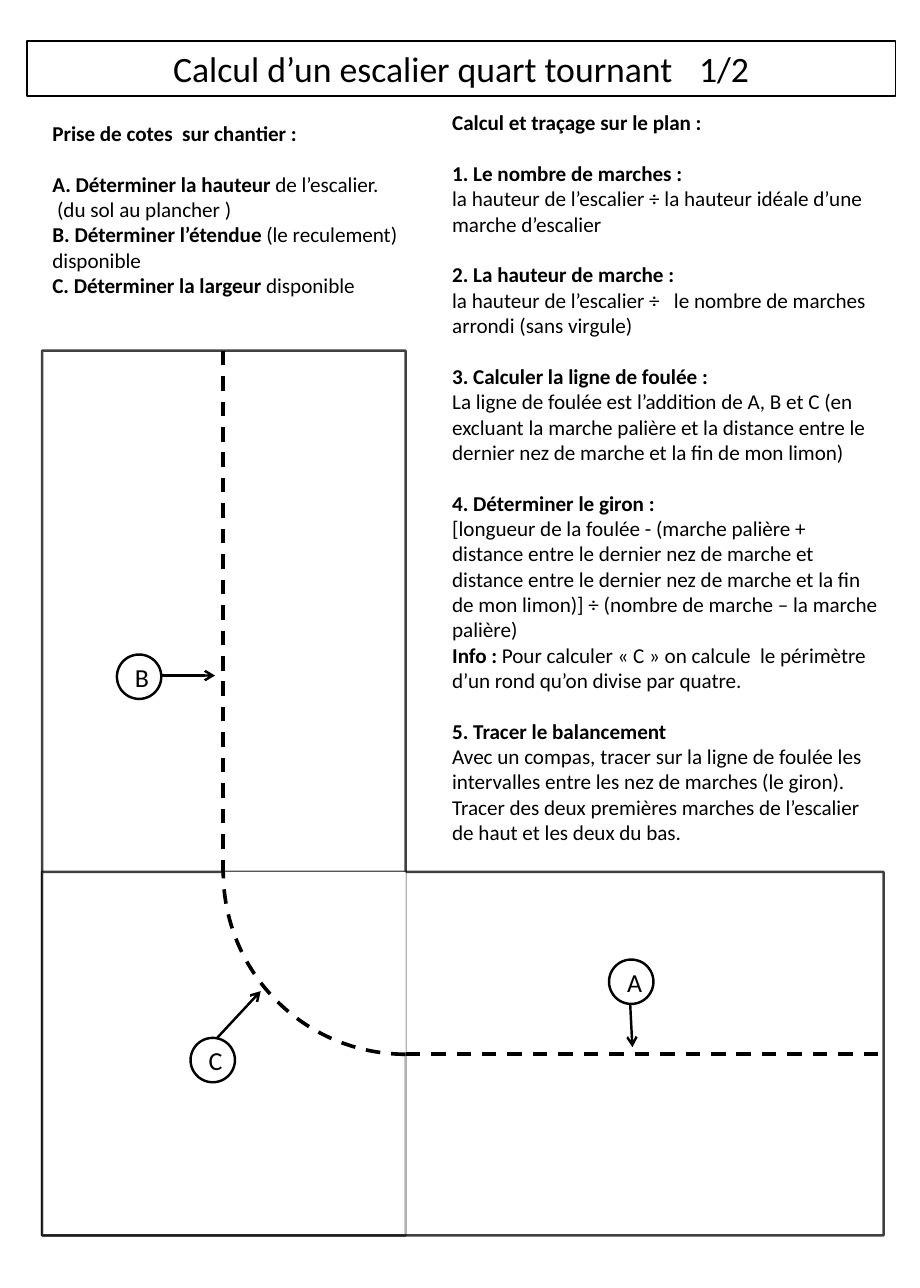
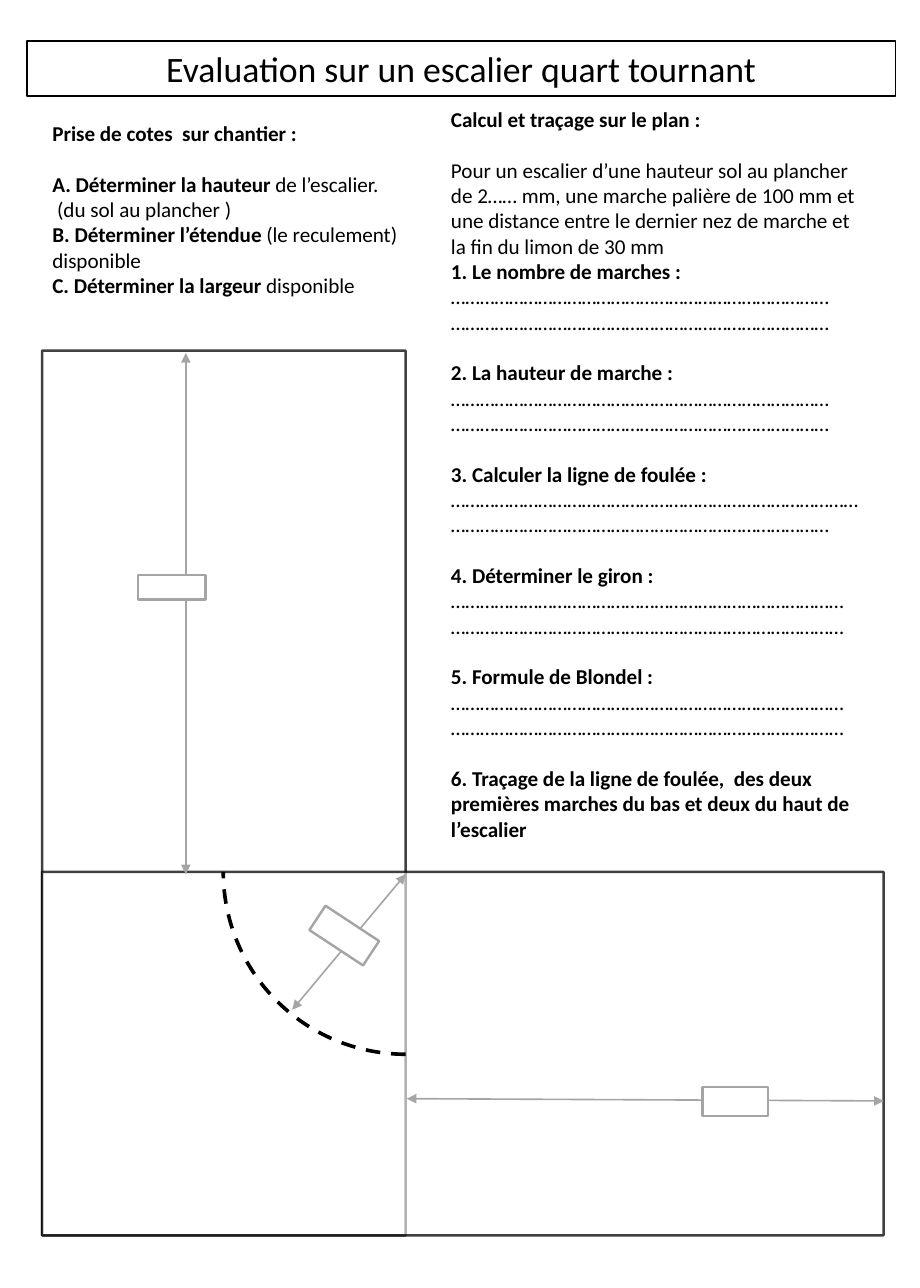
"""Builds the two worksheets on calculating a quarter-turn staircase."""
from dataclasses import dataclass

from lxml import etree
from pptx import Presentation
from pptx import util as u
from pptx.dml.color import RGBColor
from pptx.enum import dml, shapes, text
from pptx.oxml.ns import qn


@dataclass(frozen=True)
class Theme:
    """Colours, type sizes and line widths shared by both sheets."""
    font: str = "Calibri"
    ink: str = "000000"
    paper: str = "FFFFFF"
    dimension: str = "A5A5A5"
    title_size: float = 22
    letter_size: float = 16
    body_size: float = 13
    paragraph_gap: float = 15.6
    frame_line: float = 1
    outline: float = 1.5
    walk_line: float = 2.25
    flight_fill_opacity: int = 60
    flight_line_opacity: int = 75


THEME = Theme()
PAGE = (7.87, 11.02)
TITLE_BOX = (0.23, 0.35, 7.43, 0.47)
SURVEY_BOX = (0.35, 0.98, 3.4, 1.62)
PLAN_BOX = (0.36, 3.0, 7.2, 7.57)
FLIGHT_WIDTH = 3.11
WALK_RADIUS = 1.56
CORNER_Y = PLAN_BOX[3] - FLIGHT_WIDTH
WALK_X = FLIGHT_WIDTH - WALK_RADIUS
WALK_Y = CORNER_Y + WALK_RADIUS
MARKER_SIZE = 0.38

SURVEY = [
    ("Prise de cotes  sur chantier :", "", False),
    ("A. Déterminer la hauteur ", "de l’escalier.", True),
    ("", " (du sol au plancher )", False),
    ("B. Déterminer l’étendue ", "(le reculement) disponible", False),
    ("C. Déterminer la largeur ", "disponible", False),
]
METHOD = [
    ("Calcul et traçage sur le plan :", "", False),
    ("1. Le nombre de marches :", "", True),
    ("", "la hauteur de l’escalier ÷ la hauteur idéale d’une marche d’escalier", False),
    ("2. La hauteur de marche :", "", True),
    ("", "la hauteur de l’escalier ÷   le nombre de marches arrondi (sans virgule)", False),
    ("3. Calculer la ligne de foulée :", "", True),
    ("", "La ligne de foulée est l’addition de A, B et C (en excluant la marche palière "
         "et la distance entre le dernier nez de marche et la fin de mon limon)", False),
    ("4. Déterminer le giron :", "", True),
    ("", "[longueur de la foulée - (marche palière + distance entre le dernier nez de "
         "marche et distance entre le dernier nez de marche et la fin de mon limon)] ÷ "
         "(nombre de marche – la marche palière)", False),
    ("Info : ", "Pour calculer « C » on calcule  le périmètre d’un rond qu’on divise "
                "par quatre.", False),
    ("5. Tracer le balancement", "", True),
    ("", "Avec un compas, tracer sur la ligne de foulée les intervalles entre les nez de "
         "marches (le giron). Tracer des deux premières marches de l’escalier de haut et "
         "les deux du bas.", False),
]
QUESTIONS = [
    ("1. Le nombre de marches :", [26, 26]),
    ("2. La hauteur de marche :", [26, 26]),
    ("3. Calculer la ligne de foulée :", [28, 26]),
    ("4. Déterminer le giron :", [27, 27]),
    ("5. Formule de Blondel :", [27, 27]),
]
LETTERS = [
    ("A", (5.04, 5.4), (5.03, 5.57), (5.05, 5.96)),
    ("B", (0.83, 2.79), (1.01, 2.78), (1.48, 2.78)),
    ("C", (1.46, 6.07), (1.47, 5.91), (1.87, 5.48)),
]
DIMENSIONS = [
    ((1.23, 0.02), (1.23, 4.48), (0.82, 1.92, 0.58, 0.21), 0),
    ((7.2, 6.42), (3.12, 6.4), (5.65, 6.3, 0.56, 0.25), 0),
    ((3.11, 4.48), (2.14, 5.64), (2.31, 4.88, 0.55, 0.25), 33.4),
]


def evaluation_text():
    """Return the exercise, with dotted answer lines under each question."""
    paragraphs = [
        ("Calcul et traçage sur le plan :", "", False),
        ("", "Pour un escalier d’une hauteur sol au plancher de 2…… mm, une marche palière "
             "de 100 mm et une distance entre le dernier nez de marche et la fin du limon "
             "de 30 mm", True),
    ]
    for number, (question, dots) in enumerate(QUESTIONS):
        paragraphs.append((question, "", number > 0))
        paragraphs += [("", "…" * count, False) for count in dots]
    paragraphs.append(("6. Traçage de la ligne de foulée,  des deux premières marches du bas "
                       "et deux du haut de l’escalier", "", True))
    return paragraphs


def apply(target, formats):
    """Set every attribute named in a dict of format values."""
    for attribute, value in formats.items():
        setattr(target, attribute, value)


def inches(values):
    """Turn a sequence of numbers into lengths."""
    return [u.Inches(value) for value in values]


def shifted(box, part):
    """Move a point or box given relative to a region onto the page."""
    return (box[0] + part[0], box[1] + part[1], *part[2:])


def set_opacity(fill, percent):
    """Give a solid fill element an opacity."""
    colour = fill.find(".//" + qn("a:srgbClr"))
    etree.SubElement(colour, qn("a:alpha"), val=str(percent * 1000))


def draw_line(line, colour, width, dashed=False):
    """Style an outline or connector line."""
    line.color.rgb = RGBColor.from_string(colour)
    line.width = u.Pt(width)
    if dashed:
        line.dash_style = dml.MSO_LINE.DASH


def add_outline(slide, kind, box, colour, width, fill=THEME.paper, dashed=False):
    """Add a flat preset shape with a line and an optional fill."""
    shape = slide.shapes.add_shape(kind, *inches(box))
    shape.shadow.inherit = False
    if fill:
        shape.fill.solid()
        shape.fill.fore_color.rgb = RGBColor.from_string(fill)
    else:
        shape.fill.background()
    draw_line(shape.line, colour, width, dashed)
    return shape


def add_stroke(slide, start, end, colour, width, dashed=False, **arrowheads):
    """Add a straight connector with optional headEnd and tailEnd arrowheads."""
    stroke = slide.shapes.add_connector(
        shapes.MSO_CONNECTOR.STRAIGHT, *inches((*start, *end)))
    draw_line(stroke.line, colour, width, dashed)
    properties = stroke.line._get_or_add_ln()
    for side, style in arrowheads.items():
        etree.SubElement(properties, qn("a:" + side), type=style)
    etree.SubElement(stroke._element.spPr, qn("a:effectLst"))


def add_run(paragraph, wording, size, bold=False):
    """Add a run in the sheet's typeface."""
    run = paragraph.add_run()
    run.text = wording
    apply(run.font, {"name": THEME.font, "size": u.Pt(size), "bold": bold})
    run.font.color.rgb = RGBColor.from_string(THEME.ink)


def add_title(slide, box, wording):
    """Add the framed title band, with a tab stop every half inch."""
    band = add_outline(slide, shapes.MSO_SHAPE.RECTANGLE, box, THEME.ink, THEME.frame_line)
    apply(band.text_frame, {"word_wrap": True, "vertical_anchor": text.MSO_ANCHOR.TOP})
    paragraph = band.text_frame.paragraphs[0]
    paragraph.alignment = text.PP_ALIGN.CENTER
    stops = etree.SubElement(paragraph._p.get_or_add_pPr(), qn("a:tabLst"))
    for step in range(8):
        etree.SubElement(stops, qn("a:tab"), pos=str(u.Inches(step / 2)), algn="l")
    add_run(paragraph, wording, THEME.title_size)


def add_instructions(slide, box, paragraphs):
    """Add a column of paragraphs, each a bold lead followed by plain text."""
    frame = slide.shapes.add_textbox(*inches(box)).text_frame
    frame.word_wrap = True
    for number, (lead, plain, gap) in enumerate(paragraphs):
        paragraph = frame.add_paragraph() if number else frame.paragraphs[0]
        paragraph.space_before = u.Pt(THEME.paragraph_gap if gap else 0)
        for wording, bold in ((lead, True), (plain, False)):
            if wording:
                add_run(paragraph, wording, THEME.body_size, bold)


def add_flights(slide, box):
    """Add the upright and the lower flight, which overlap at the turn."""
    for flight in ((0, 0, FLIGHT_WIDTH, box[3]), (0, CORNER_Y, box[2], FLIGHT_WIDTH)):
        outline = add_outline(slide, shapes.MSO_SHAPE.RECTANGLE, shifted(box, flight),
                              THEME.ink, THEME.outline)
        properties = outline._element.spPr
        set_opacity(properties.find(qn("a:solidFill")), THEME.flight_fill_opacity)
        set_opacity(properties.find(qn("a:ln")), THEME.flight_line_opacity)


def add_turn(slide, box, fill):
    """Add the dashed quarter circle of the walking line."""
    circle = (WALK_X, CORNER_Y - WALK_RADIUS, 2 * WALK_RADIUS, 2 * WALK_RADIUS)
    turn = add_outline(slide, shapes.MSO_SHAPE.ARC, shifted(box, circle),
                       THEME.ink, THEME.walk_line, fill, dashed=True)
    for index, degrees in enumerate((90, 180)):
        turn.adjustments[index] = degrees * 0.6


def add_lettered_plan(slide, box):
    """Add the plan with its full walking line and lettered parts."""
    add_flights(slide, box)
    for letter, centre, start, tip in LETTERS:
        add_stroke(slide, shifted(box, start), shifted(box, tip),
                   THEME.ink, THEME.outline, tailEnd="arrow")
        disc = (*(value - MARKER_SIZE / 2 for value in centre), MARKER_SIZE, MARKER_SIZE)
        marker = add_outline(slide, shapes.MSO_SHAPE.OVAL, shifted(box, disc),
                             THEME.ink, THEME.outline)
        paragraph = marker.text_frame.paragraphs[0]
        paragraph.alignment = text.PP_ALIGN.CENTER
        add_run(paragraph, letter, THEME.letter_size)
    add_turn(slide, box, THEME.paper)
    for start, end in (((WALK_X, 0), (WALK_X, CORNER_Y)),
                       ((FLIGHT_WIDTH, WALK_Y), (box[2], WALK_Y))):
        add_stroke(slide, shifted(box, start), shifted(box, end),
                   THEME.ink, THEME.walk_line, dashed=True)


def add_dimensioned_plan(slide, box):
    """Add the plan with dimension arrows and empty boxes to fill in."""
    add_flights(slide, box)
    for start, end, answer, rotation in DIMENSIONS:
        add_stroke(slide, shifted(box, start), shifted(box, end), THEME.dimension,
                   THEME.frame_line, headEnd="triangle", tailEnd="triangle")
        answer_box = add_outline(slide, shapes.MSO_SHAPE.RECTANGLE, shifted(box, answer),
                                 THEME.dimension, THEME.outline)
        answer_box.rotation = rotation
    add_turn(slide, box, None)


def add_sheet(deck, title, column_box, column, add_plan):
    """Add one sheet: title, survey steps, calculation column and plan."""
    slide = deck.slides.add_slide(deck.slide_layouts[6])
    add_instructions(slide, SURVEY_BOX, SURVEY)
    add_instructions(slide, column_box, column)
    add_plan(slide, PLAN_BOX)
    add_title(slide, TITLE_BOX, title)


def main():
    """Build and save both sheets."""
    deck = Presentation()
    apply(deck, dict(zip(("slide_width", "slide_height"), inches(PAGE))))
    add_sheet(deck, "Calcul d’un escalier quart tournant\t1/2",
              (3.77, 0.89, 3.86, 6.39), METHOD, add_lettered_plan)
    add_sheet(deck, "Evaluation sur un escalier quart tournant",
              (3.76, 0.86, 3.77, 6.39), evaluation_text(), add_dimensioned_plan)
    deck.save("out.pptx")


if __name__ == "__main__":
    main()
